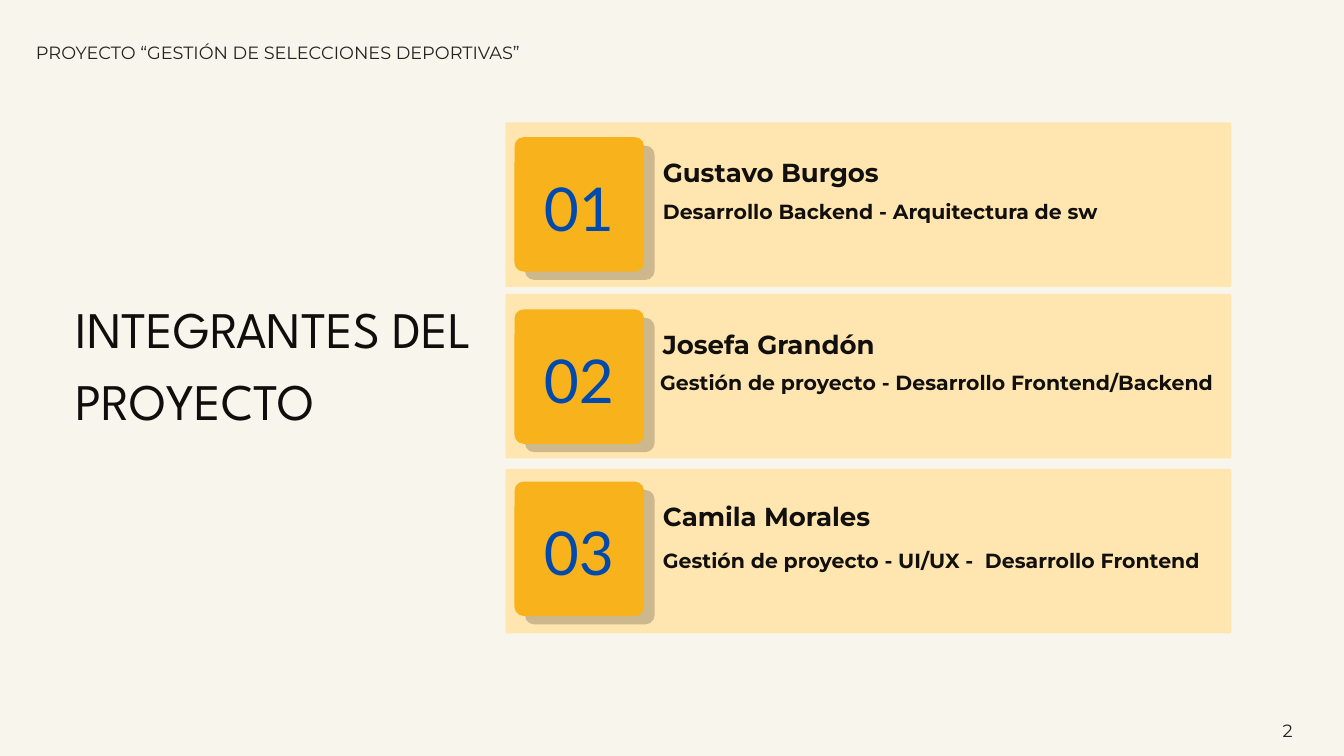
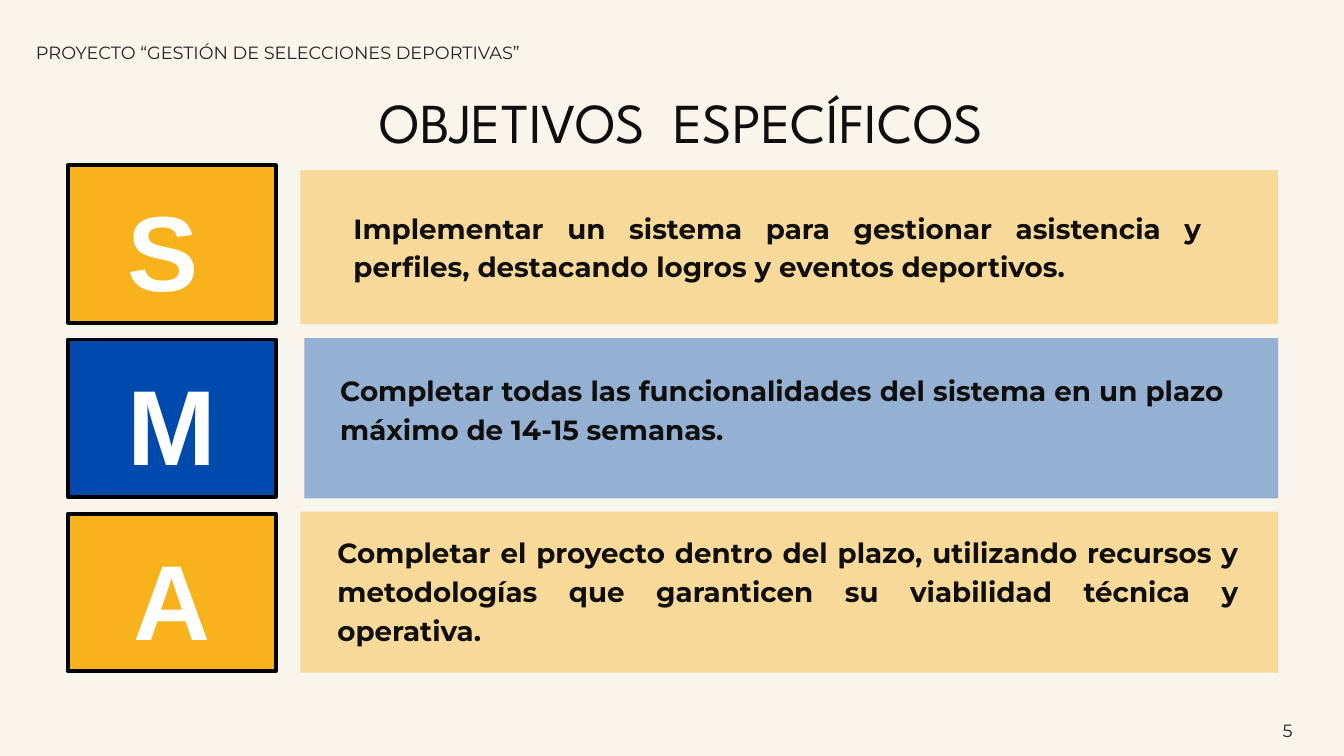
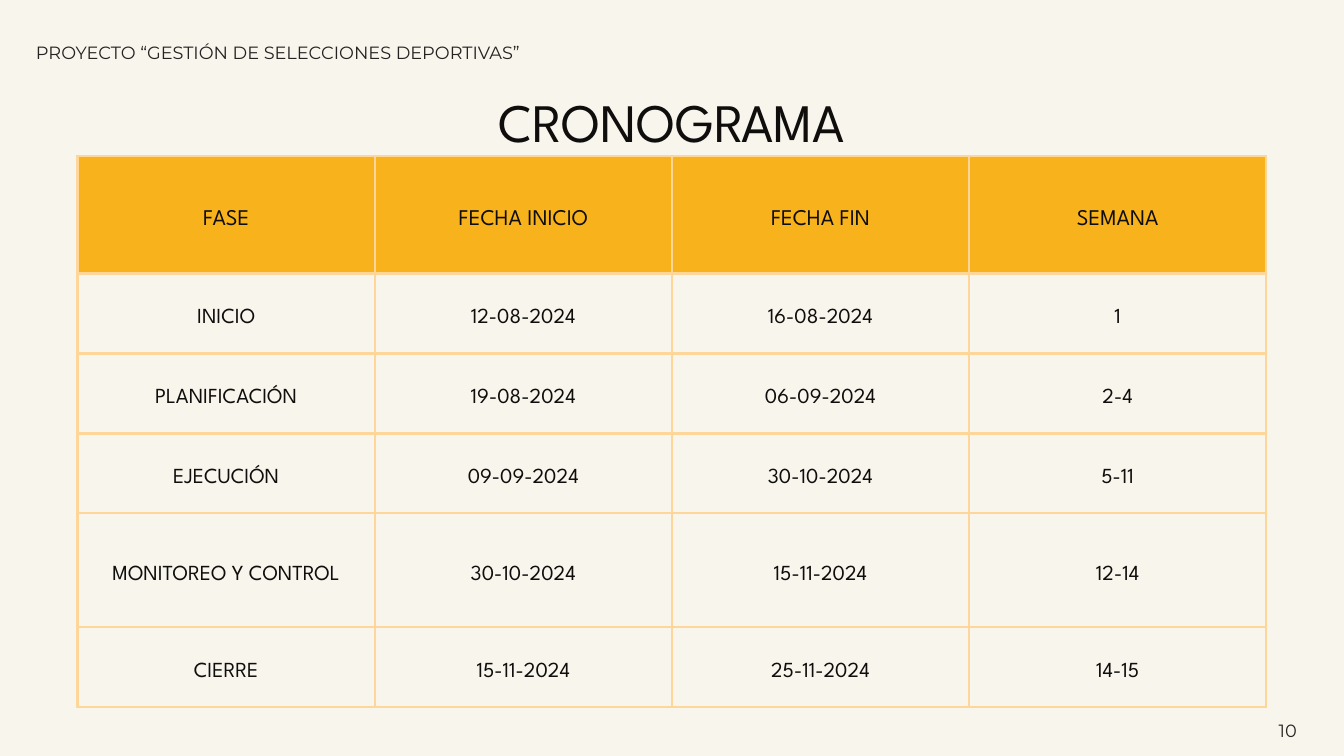
from lxml import etree
from pptx import Presentation
from pptx.dml.color import RGBColor
from pptx.enum.shapes import MSO_SHAPE
from pptx.enum.text import MSO_ANCHOR, MSO_AUTO_SIZE, PP_ALIGN
from pptx.oxml.ns import qn
from pptx.util import Pt

EMU_PER_PX = 9525
PAGE_WIDTH, PAGE_HEIGHT = 1920, 1080
BLANK_LAYOUT = 6
LINE_FACTOR = 1.4

LEFT, CENTER, JUSTIFY = PP_ALIGN.LEFT, PP_ALIGN.CENTER, PP_ALIGN.JUSTIFY
MIDDLE = MSO_ANCHOR.MIDDLE
GROW = MSO_AUTO_SIZE.SHAPE_TO_FIT_TEXT
RECTANGLE, ROUNDED = MSO_SHAPE.RECTANGLE, MSO_SHAPE.ROUNDED_RECTANGLE

CREAM = RGBColor(0xF8, 0xF5, 0xED)
AMBER = RGBColor(0xF7, 0xB2, 0x1C)
PALE_AMBER = RGBColor(0xFF, 0xE6, 0xB0)
GRID = RGBColor(0xFF, 0xD6, 0x99)
BLUE = RGBColor(0x00, 0x4A, 0xAD)
BLACK = RGBColor(0x00, 0x00, 0x00)
WHITE = RGBColor(0xFF, 0xFF, 0xFF)
INK = RGBColor(0x0F, 0x0E, 0x0C)
NAME_INK = RGBColor(0x11, 0x10, 0x0E)
HEADER_INK = RGBColor(0x27, 0x21, 0x21)

TITLE_FONT, BODY_FONT = "League Spartan", "Montserrat"
NUMBER_FONT, LETTER_FONT = "Lato", "Arial"

HEADER = "PROYECTO “GESTIÓN DE SELECCIONES DEPORTIVAS”"

MEMBERS_BOX = (722, 175, 1037, 235)
MEMBER_PITCH = 246
MEMBERS = [
    ("Gustavo Burgos", "Desarrollo Backend - Arquitectura de sw", 0, (225, 82)),
    ("Josefa Grandón", "Gestión de proyecto - Desarrollo Frontend/Backend", -1, (221, 81)),
    ("Camila Morales", "Gestión de proyecto - UI/UX -  Desarrollo Frontend", 3, (225, 89)),
]

GOALS_BOX = (94, 233, 1732, 230)
GOAL_PITCH = 249
GOALS = [
    ("S", "Implementar un sistema para gestionar asistencia y perfiles, "
     "destacando logros y eventos deportivos.",
     AMBER, 41, (335, 10), (411, 61, 1212, 110)),
    ("M", "Completar todas las funcionalidades del sistema en un plazo "
     "máximo de 14-15 semanas.",
     BLUE, 54, (341, 1), (392, 44, 1263, 110)),
    ("A", "Completar el proyecto dentro del plazo, utilizando recursos y "
     "metodologías que garanticen su viabilidad técnica y operativa.",
     AMBER, 54, (335, 0), (388, 27, 1288, 169)),
]

SCHEDULE_BOX = (111, 223, 1698, 790)
SCHEDULE_ROW_HEIGHTS = [168, 114, 114, 114, 163, 114]
SCHEDULE = [
    ("FASE", "FECHA INICIO", "FECHA FIN", "SEMANA"),
    ("INICIO", "12-08-2024", "16-08-2024", "1"),
    ("PLANIFICACIÓN", "19-08-2024", "06-09-2024", "2-4"),
    ("EJECUCIÓN", "09-09-2024", "30-10-2024", "5-11"),
    ("MONITOREO Y CONTROL", "30-10-2024", "15-11-2024", "12-14"),
    ("CIERRE", "15-11-2024", "25-11-2024", "14-15"),
]


def px(length):
    return round(length * EMU_PER_PX)


def emu(box):
    return [px(length) for length in box]


def write(frame, text, size, font=BODY_FONT, color=INK, bold=False, align=LEFT):
    para = frame.paragraphs[0]
    para.alignment = align
    para.line_spacing = Pt(size * LINE_FACTOR)
    span = para.add_run()
    span.text = text
    span.font.name = font
    span.font.size = Pt(size)
    span.font.bold = bold
    span.font.color.rgb = color


def add_text(page, box, text, size, **style):
    frame = page.shapes.add_textbox(*emu(box)).text_frame
    frame.margin_left = frame.margin_right = 0
    frame.margin_top = frame.margin_bottom = 0
    frame.word_wrap = True
    frame.auto_size = GROW
    write(frame, text, size, **style)


def add_block(page, kind, box, fill, radius=None, opacity=None, outline=None):
    shape = page.shapes.add_shape(kind, *emu(box))
    shape.shadow.inherit = False
    shape.fill.solid()
    shape.fill.fore_color.rgb = fill
    if radius is not None:
        shape.adjustments[0] = radius
    if opacity is not None:
        color = shape.fill._xPr.find(qn("a:solidFill")).find(qn("a:srgbClr"))
        etree.SubElement(color, qn("a:alpha")).set("val", str(opacity * 1000))
    if outline is None:
        shape.line.fill.background()
    else:
        shape.line.color.rgb = outline
        shape.line.width = Pt(4)


def add_title(page, box, text, size, align=CENTER):
    add_text(page, box, text, size, font=TITLE_FONT, align=align)


def add_page(deck, number):
    page = deck.slides.add_slide(deck.slide_layouts[BLANK_LAYOUT])
    page.background.fill.solid()
    page.background.fill.fore_color.rgb = CREAM
    style = dict(size=19, color=HEADER_INK, align=CENTER)
    add_text(page, (44, 55, 706, 34), HEADER, **style)
    add_text(page, (1812, 1023, 55, 34), str(number), **style)
    return page


def member_card(page, box, number, name, role, card_shift, role_place):
    left, top, width, height = box
    tile_left, tile_top = left + 13, top + 21
    role_left, role_top = role_place
    add_block(page, ROUNDED, (left, top + card_shift, width, height), PALE_AMBER, radius=0.01)
    add_block(page, ROUNDED, (tile_left + 15, tile_top + 12, 185, 192), BLACK,
              radius=0.07, opacity=20)
    add_block(page, ROUNDED, (tile_left, tile_top, 185, 192), AMBER, radius=0.07)
    add_text(page, (left, tile_top + 31, 210, 117), f"{number:02}", 64.7,
             font=NUMBER_FONT, color=BLUE, align=CENTER)
    add_text(page, (left + 225, tile_top + 20, 568, 54), name, 27.9, color=NAME_INK, bold=True)
    add_text(page, (left + role_left, tile_top + role_top, 817, 39), role, 21.9,
             color=NAME_INK, bold=True)


def members_page(deck):
    page = add_page(deck, 2)
    add_title(page, (108, 410, 588, 200), "INTEGRANTES DEL PROYECTO", 54.9, align=LEFT)
    left, top, width, height = MEMBERS_BOX
    for index, member in enumerate(MEMBERS):
        member_card(page, (left, top + index * MEMBER_PITCH, width, height), index + 1, *member)


def goal_row(page, box, letter, goal, color, letter_left, bar_place, goal_box):
    left, top, width, height = box
    bar_left, bar_top = bar_place
    text_left, text_top, text_width, text_height = goal_box
    add_block(page, RECTANGLE, (left + 3, top + 3, 297, height - 5), color, outline=BLACK)
    add_text(page, (left + letter_left, top + 1, 195, 205), letter, 114.2,
             font=LETTER_FONT, color=WHITE, bold=True, align=CENTER)
    add_block(page, RECTANGLE,
              (left + bar_left, top + bar_top, width - bar_left, height - bar_top),
              color, opacity=40)
    add_text(page, (left + text_left, top + text_top, text_width, text_height), goal, 29.7,
             bold=True, align=JUSTIFY)


def goals_page(deck):
    page = add_page(deck, 5)
    left, top, width, height = GOALS_BOX
    for index, goal in enumerate(GOALS):
        goal_row(page, (left, top + index * GOAL_PITCH, width, height), *goal)
    add_title(page, (446, 108, 1055, 108), "OBJETIVOS  ESPECÍFICOS", 60.4)


def add_borders(cell):
    properties = cell._tc.get_or_add_tcPr()
    for side in ("a:lnL", "a:lnR", "a:lnT", "a:lnB"):
        line = etree.SubElement(properties, qn(side), w=str(Pt(3)))
        fill = etree.SubElement(line, qn("a:solidFill"))
        etree.SubElement(fill, qn("a:srgbClr"), val=str(GRID))


def schedule_cell(cell, text, is_header):
    cell.margin_left = cell.margin_right = px(20)
    cell.margin_top = cell.margin_bottom = px(20)
    cell.vertical_anchor = MIDDLE
    add_borders(cell)
    if is_header:
        cell.fill.solid()
        cell.fill.fore_color.rgb = AMBER
    else:
        cell.fill.background()
    write(cell.text_frame, text, 24 if is_header else 23, font=TITLE_FONT, align=CENTER)


def schedule_table(page, box):
    columns = len(SCHEDULE[0])
    table = page.shapes.add_table(len(SCHEDULE), columns, *emu(box)).table
    table.first_row = table.horz_banding = False
    for column in table.columns:
        column.width = px(box[2] / columns)
    for row_index, (row, height) in enumerate(zip(table.rows, SCHEDULE_ROW_HEIGHTS)):
        row.height = px(height)
        for cell, text in zip(row.cells, SCHEDULE[row_index]):
            schedule_cell(cell, text, row_index == 0)


def schedule_page(deck):
    page = add_page(deck, 10)
    schedule_table(page, SCHEDULE_BOX)
    add_title(page, (646, 111, 627, 104), "CRONOGRAMA", 58)


def main():
    deck = Presentation()
    deck.slide_width, deck.slide_height = px(PAGE_WIDTH), px(PAGE_HEIGHT)
    members_page(deck)
    goals_page(deck)
    schedule_page(deck)
    deck.save("out.pptx")


if __name__ == "__main__":
    main()
